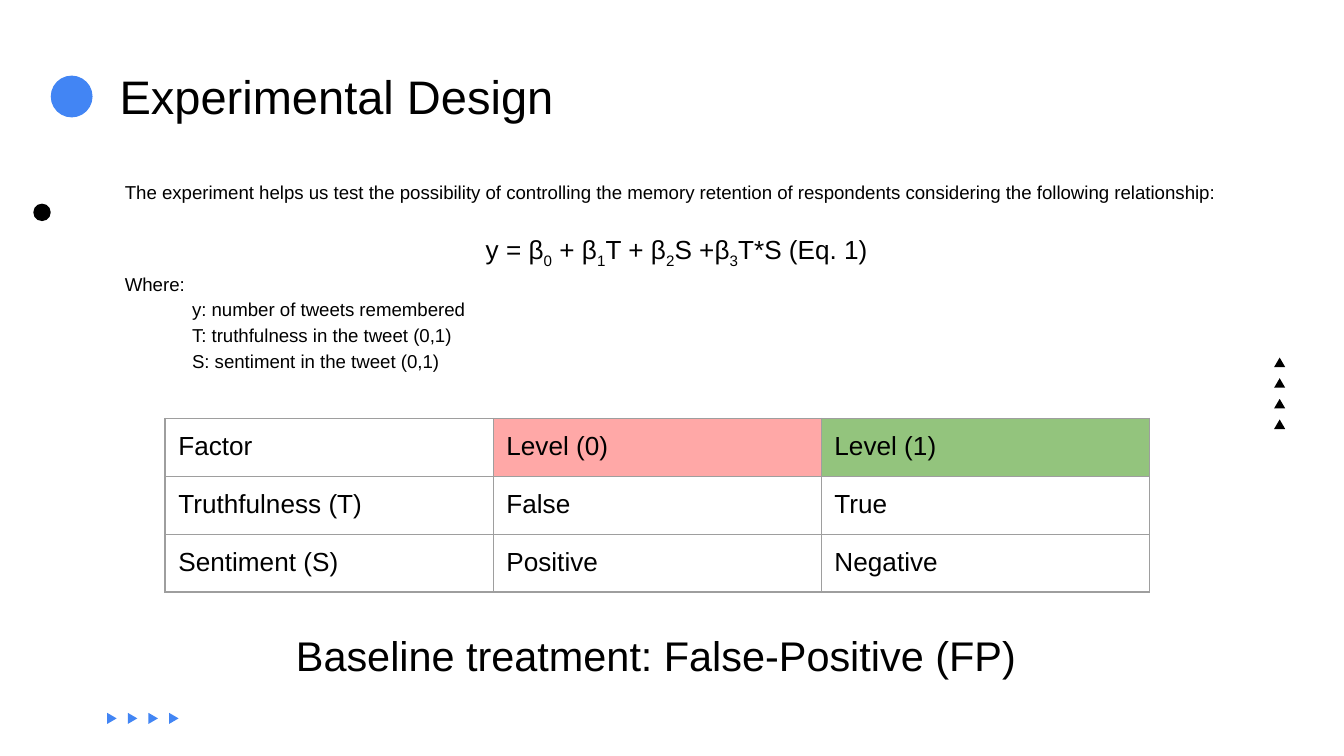
from typing import NamedTuple

from lxml.etree import SubElement
from pptx import Presentation
from pptx.dml.color import RGBColor
from pptx.enum.shapes import MSO_SHAPE
from pptx.enum.text import PP_ALIGN
from pptx.oxml.ns import qn
from pptx.util import Cm, Pt

BLACK = RGBColor(0x00, 0x00, 0x00)
BLUE = RGBColor(0x42, 0x85, 0xF4)
PINK = RGBColor(0xFF, 0xA8, 0xA7)
GREEN = RGBColor(0x93, 0xC4, 0x7D)
GREY = RGBColor(0x9E, 0x9E, 0x9E)
FONT = "Arial"
INSET = Cm(0.25)


class Mark(NamedTuple):
    kind: MSO_SHAPE
    left: float
    top: float
    width: float
    height: float
    color: RGBColor
    rotation: float = 0


class Line(NamedTuple):
    texts: tuple[str, ...]
    size: float
    align: PP_ALIGN = PP_ALIGN.LEFT
    indent: float = 0
    before: float = 0
    spacing: float = 1.0


class Block(NamedTuple):
    left: float
    top: float
    width: float
    height: float
    lines: tuple[Line, ...]


STEP = 0.39
MARKS = (
    *(Mark(MSO_SHAPE.ISOSCELES_TRIANGLE, 24.08, 6.76 + STEP * i, 0.21, 0.18, BLACK) for i in range(4)),
    Mark(MSO_SHAPE.OVAL, 0.96, 1.43, 0.79, 0.79, BLUE),
    Mark(MSO_SHAPE.OVAL, 0.63, 3.85, 0.33, 0.33, BLACK),
    *(Mark(MSO_SHAPE.ISOSCELES_TRIANGLE, 2.01 + STEP * i, 13.49, 0.21, 0.18, BLUE, 90) for i in range(4)),
)

INTRO = (
    "The experiment helps us test the possibility of controlling the memory retention "
    "of respondents considering the following relationship:"
)
EQUATION = ("y = β", "0", " + β", "1", "T + β", "2", "S +β", "3", "T*S (Eq. 1)")
VARIABLES = (
    "y: number of tweets remembered",
    "T: truthfulness in the tweet (0,1)",
    "S: sentiment in the tweet (0,1)",
)
BLOCKS = (
    Block(2.01, 1.02, 22.5, 1.6, (Line(("Experimental Design",), 25.2),)),
    Block(2.11, 3.1, 21.36, 9.83, (
        Line((INTRO,), 10, spacing=1.15),
        Line(EQUATION, 14, PP_ALIGN.CENTER, before=13.5, spacing=1.15),
        Line(("Where:",), 10, spacing=1.15),
        *(Line((text,), 10, indent=1.27, spacing=1.15) for text in VARIABLES),
    )),
    Block(5.13, 11.66, 14.55, 1.27, (
        Line(("Baseline treatment: False-Positive (FP)",), 22.2, PP_ALIGN.CENTER),
    )),
)

FACTORS = (
    ("Factor", "Level (0)", "Level (1)"),
    ("Truthfulness (T)", "False", "True"),
    ("Sentiment (S)", "Positive", "Negative"),
)
HEADER_FILLS = (None, PINK, GREEN)


def set_font(para, size: float) -> None:
    para.font.name = FONT
    para.font.size = Pt(size)
    para.font.color.rgb = BLACK


def add_mark(page, mark: Mark) -> None:
    box = (mark.left, mark.top, mark.width, mark.height)
    shape = page.shapes.add_shape(mark.kind, *map(Cm, box))
    shape.rotation = mark.rotation
    shape.shadow.inherit = False
    shape.fill.solid()
    shape.fill.fore_color.rgb = mark.color
    shape.line.fill.background()


def add_block(page, block: Block) -> None:
    """Add a text box in which every second text of a line is a subscript."""
    box = page.shapes.add_textbox(*map(Cm, block[:4]))
    frame = box.text_frame
    frame.word_wrap = True
    frame.margin_left = frame.margin_right = frame.margin_top = frame.margin_bottom = INSET
    for row, line in enumerate(block.lines):
        para = frame.add_paragraph() if row else frame.paragraphs[0]
        para.alignment = line.align
        para.line_spacing = line.spacing
        para.space_before = Pt(line.before)
        para._p.get_or_add_pPr().set("marL", str(Cm(line.indent)))
        set_font(para, line.size)
        for index, text in enumerate(line.texts):
            span = para.add_run()
            span.text = text
            if index % 2:
                span.font._element.set("baseline", "-25000")


def add_borders(cell) -> None:
    properties = cell._tc.get_or_add_tcPr()
    for index, side in enumerate(("a:lnL", "a:lnR", "a:lnT", "a:lnB")):
        border = properties.makeelement(qn(side), {"w": str(Pt(0.75))})
        properties.insert(index, border)
        fill = SubElement(border, qn("a:solidFill"))
        SubElement(fill, qn("a:srgbClr"), val=str(GREY))


def add_factor_table(page) -> None:
    frame = page.shapes.add_table(3, 3, Cm(3.12), Cm(7.91), Cm(18.6), Cm(3.21))
    table = frame.table
    table.first_row = table.horz_banding = False
    for column in table.columns:
        column.width = Cm(6.2)
    for row, texts in enumerate(FACTORS):
        table.rows[row].height = Cm(1.07)
        for column, text in enumerate(texts):
            cell = table.cell(row, column)
            cell.text = text
            cell.margin_left = cell.margin_right = cell.margin_top = cell.margin_bottom = INSET
            set_font(cell.text_frame.paragraphs[0], 14)
            color = HEADER_FILLS[column] if row == 0 else None
            if color is None:
                cell.fill.background()
            else:
                cell.fill.solid()
                cell.fill.fore_color.rgb = color
            add_borders(cell)


def main() -> None:
    deck = Presentation()
    deck.slide_width, deck.slide_height = Cm(25.4), Cm(14.29)
    page = deck.slides.add_slide(deck.slide_layouts[6])
    for mark in MARKS:
        add_mark(page, mark)
    for block in BLOCKS:
        add_block(page, block)
    add_factor_table(page)
    deck.save("out.pptx")


if __name__ == "__main__":
    main()
